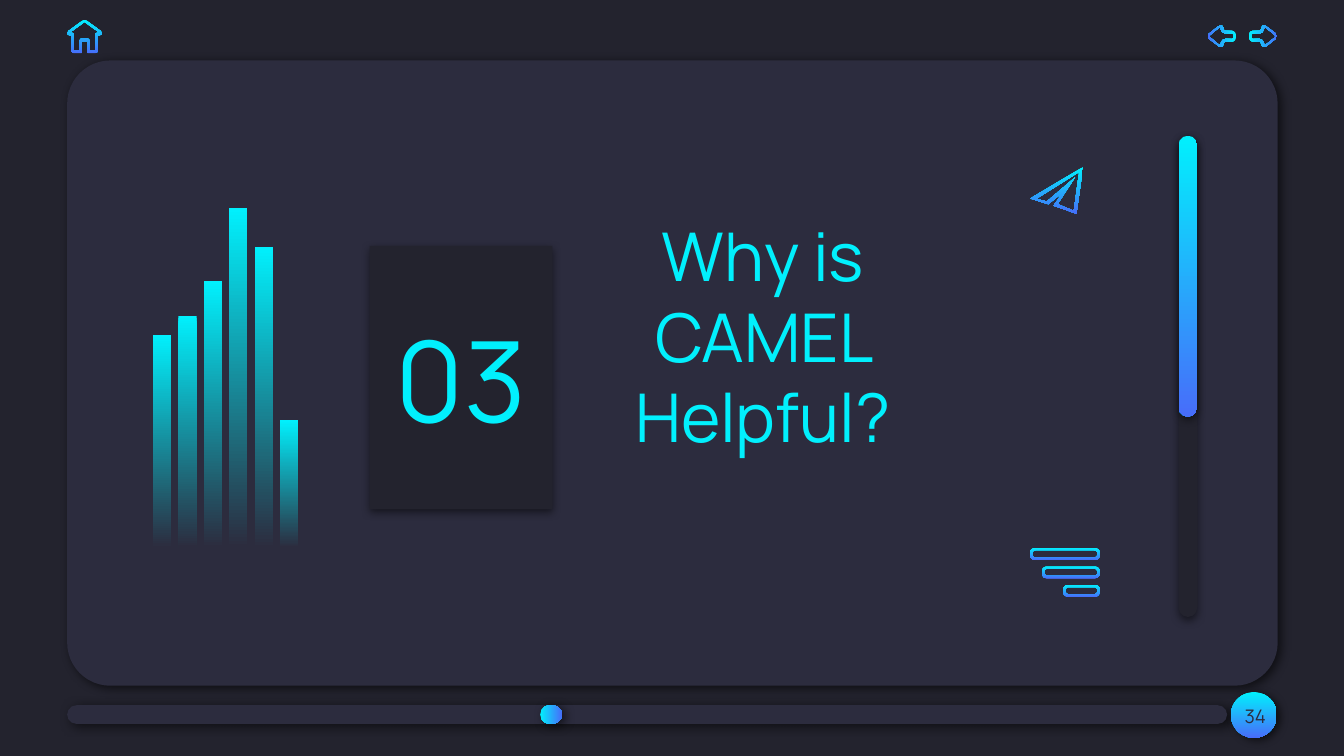
from dataclasses import dataclass
from math import cos, pi, sin

from lxml.etree import SubElement
from pptx import Presentation
from pptx.dml.color import RGBColor
from pptx.enum.shapes import MSO_SHAPE
from pptx.enum.text import MSO_ANCHOR, PP_ALIGN
from pptx.oxml.ns import qn
from pptx.util import Pt

NIGHT = RGBColor(0x23, 0x23, 0x2E)
SLATE = RGBColor(0x2C, 0x2C, 0x3E)
CYAN = RGBColor(0x01, 0xF0, 0xFD)
BLUE = RGBColor(0x47, 0x6D, 0xFA)
BLACK = RGBColor(0, 0, 0)
FONT = "Manrope"

# Gradient angles, counter-clockwise
DOWN, LEFT, RIGHT = 270, 180, 0

Point = tuple[float, float]
Ring = list[Point]


@dataclass(frozen=True)
class Box:
    x: float
    y: float
    w: float
    h: float


@dataclass(frozen=True)
class Blend:
    end: RGBColor = BLUE
    angle: int = DOWN


@dataclass(frozen=True)
class Shade:
    alpha: int
    blur: float
    dist: float
    angle: int


@dataclass(frozen=True)
class Part:
    kind: MSO_SHAPE
    box: Box
    fill: RGBColor | Blend
    shade: Shade | None = None
    round: float | None = None


FAR = Shade(60, 5.6, 2.2, 33)
DISC = Shade(60, 4.5, 2.2, 33)
NEAR = Shade(50, 4.5, 1.5, 90)


def paint(shape, fill: RGBColor | Blend) -> None:
    shape.shadow.inherit = False
    shape.line.fill.background()
    if isinstance(fill, Blend):
        shape.fill.gradient()
        shape.fill.gradient_angle = fill.angle
        for stop, place, tint in zip(shape.fill.gradient_stops, (0, 1), (CYAN, fill.end)):
            stop.position = place
            stop.color.rgb = tint
    else:
        shape.fill.solid()
        shape.fill.fore_color.rgb = fill


def cast(shape, shade: Shade) -> None:
    drop = SubElement(
        shape._element.spPr.find(qn("a:effectLst")), qn("a:outerShdw"),
        blurRad=str(Pt(shade.blur)), dist=str(Pt(shade.dist)),
        dir=str(shade.angle * 60000), algn="bl", rotWithShape="0")
    tint = SubElement(drop, qn("a:srgbClr"), val=str(BLACK))
    SubElement(tint, qn("a:alpha"), val=str(shade.alpha * 1000))


def spot(box: Box) -> list[Pt]:
    return [Pt(n) for n in (box.x, box.y, box.w, box.h)]


def draw(slide, part: Part):
    shape = slide.shapes.add_shape(part.kind, *spot(part.box))
    paint(shape, part.fill)
    if part.round is not None:
        shape.adjustments[0] = part.round
    if part.shade:
        cast(shape, part.shade)
    return shape


def write(shape, text: str, size: float, tint: RGBColor) -> None:
    frame = shape.text_frame
    frame.word_wrap = True
    frame.vertical_anchor = MSO_ANCHOR.MIDDLE
    frame.margin_left = frame.margin_right = Pt(7.2)
    frame.margin_top = frame.margin_bottom = Pt(7.2)
    line = frame.paragraphs[0]
    line.alignment = PP_ALIGN.CENTER
    run = line.add_run()
    run.text = text
    run.font.name = FONT
    run.font.size = Pt(size)
    run.font.color.rgb = tint


def trace(slide, rings: list[Ring], blend: Blend) -> None:
    """Draw closed rings as one shape; the inner ring is a hole."""
    sets = [[(Pt(x), Pt(y)) for x, y in ring] for ring in rings]
    pen = slide.shapes.build_freeform(*sets[0][0])
    for index, dots in enumerate(sets):
        if index:
            pen.move_to(*dots[0])
        pen.add_line_segments(dots[1:], close=True)
    paint(pen.convert_to_shape(), blend)


def mirror(half: Ring) -> Ring:
    return half + [(a, -b) for a, b in reversed(half)]


def pill(box: Box, inset: float, radius: float) -> Ring:
    reach = inset + radius
    left, right = box.x + reach, box.x + box.w - reach
    top, base = box.y + reach, box.y + box.h - reach
    hubs = [(right, base), (left, base), (left, top), (right, top)]
    turns = [(hub, (turn + step / 6) * pi / 2)
             for turn, hub in enumerate(hubs) for step in range(7)]
    return [(x + radius * cos(t), y + radius * sin(t)) for (x, y), t in turns]


# Half outlines: distance along the axis, then distance from it
ARROW = [
    [(0, 0.9), (0.3, 1.9), (0.9, 2.5), (2, 2.9), (5.6, 2.9), (6.3, 3.2), (6.6, 4.3),
     (7.2, 5.5), (8.2, 5.8), (9.2, 5.4), (14.4, 1.4), (15, 0)],
    [(1.4, 0.9), (2, 1.5), (5.8, 1.5), (7.2, 2.1), (8, 3.5), (8.1, 4.2), (8.7, 4.6),
     (9.2, 4.4), (13.9, 0.6), (14.1, 0)],
]
HOME = [
    [(0, 0), (0.3, 0.9), (6, 8.6), (7, 9.2), (7.6, 9.2), (8.3, 8.2), (8.3, 7.1),
     (16.6, 7.1), (17.5, 6.6), (17.9, 5.8), (17.9, 1.6), (11.7, 1.6), (11.5, 1.3)],
    [(1.2, 0), (7, 8.1), (7, 6.6), (7.6, 5.8), (16.6, 5.8), (16.6, 2.7),
     (11.4, 2.7), (10.4, 2.3), (10.1, 1.5)],
]
PLANE = [
    [(580.3, 89.5), (552, 106.4), (561.6, 109.4), (569.5, 103), (564.5, 110.2),
     (576.7, 114.5)],
    [(578.2, 92.2), (575.3, 113), (566.6, 109.4), (576, 95), (560.9, 108),
     (555.1, 106.6)],
]

deck = Presentation()
deck.slide_width, deck.slide_height = Pt(720), Pt(405)
slide = deck.slides.add_slide(deck.slide_layouts[6])
slide.background.fill.solid()
slide.background.fill.fore_color.rgb = NIGHT

# Panel, progress track and knob, page disc, scroll bar
ROUND = MSO_SHAPE.ROUNDED_RECTANGLE
for part in (
    Part(ROUND, Box(36, 32.4, 648.5, 335), SLATE, FAR, 0.069),
    Part(ROUND, Box(36, 377.8, 621.4, 10), SLATE, FAR, 0.5),
    Part(ROUND, Box(289.4, 377.8, 11.7, 10), Blend(angle=RIGHT), FAR, 0.5),
    Part(MSO_SHAPE.OVAL, Box(659.5, 370.8, 24.5, 24.5), Blend(), DISC),
    Part(ROUND, Box(631.4, 72.7, 10, 257.8), NIGHT, NEAR, 0.5),
    Part(ROUND, Box(631.4, 72.7, 10, 150.5), Blend(), NEAR, 0.5),
):
    draw(slide, part)

# Page number, title and chapter card
page = slide.shapes.add_textbox(*spot(Box(650.9, 367.9, 43.2, 31)))
write(page, "34", 10, SLATE)
title = slide.shapes.add_textbox(*spot(Box(295.2, 131.8, 226.8, 95.8)))
write(title, "Why is CAMEL Helpful?", 36, CYAN)
card = draw(slide, Part(MSO_SHAPE.RECTANGLE, Box(198, 131.8, 98, 141), NIGHT, NEAR))
write(card, "03", 60, CYAN)

# Fading bars
for index, high in enumerate((114.2, 124.2, 143, 182, 161.4, 68.2)):
    box = Box(82 + 13.6 * index, 293.5 - high, 9.8, high)
    draw(slide, Part(MSO_SHAPE.RECTANGLE, box, Blend(SLATE)))

# Stacked pills, flush right
for index, wide in enumerate((37.5, 31, 19.7)):
    box = Box(589.2 - wide, 293.5 + 9.85 * index, wide, 6.5)
    trace(slide, [pill(box, 0, 2.9), pill(box, 1.3, 1.7)], Blend())

# Paper plane, arrows and house
trace(slide, PLANE, Blend())
for tail, way, angle in ((662.1, -1, LEFT), (669.1, 1, RIGHT)):
    rings = [[(tail + way * a, 19.4 + b) for a, b in mirror(half)] for half in ARROW]
    trace(slide, rings, Blend(angle=angle))
trace(slide, [[(45.3 + b, 10.6 + a) for a, b in mirror(half)] for half in HOME], Blend())

deck.save("out.pptx")
